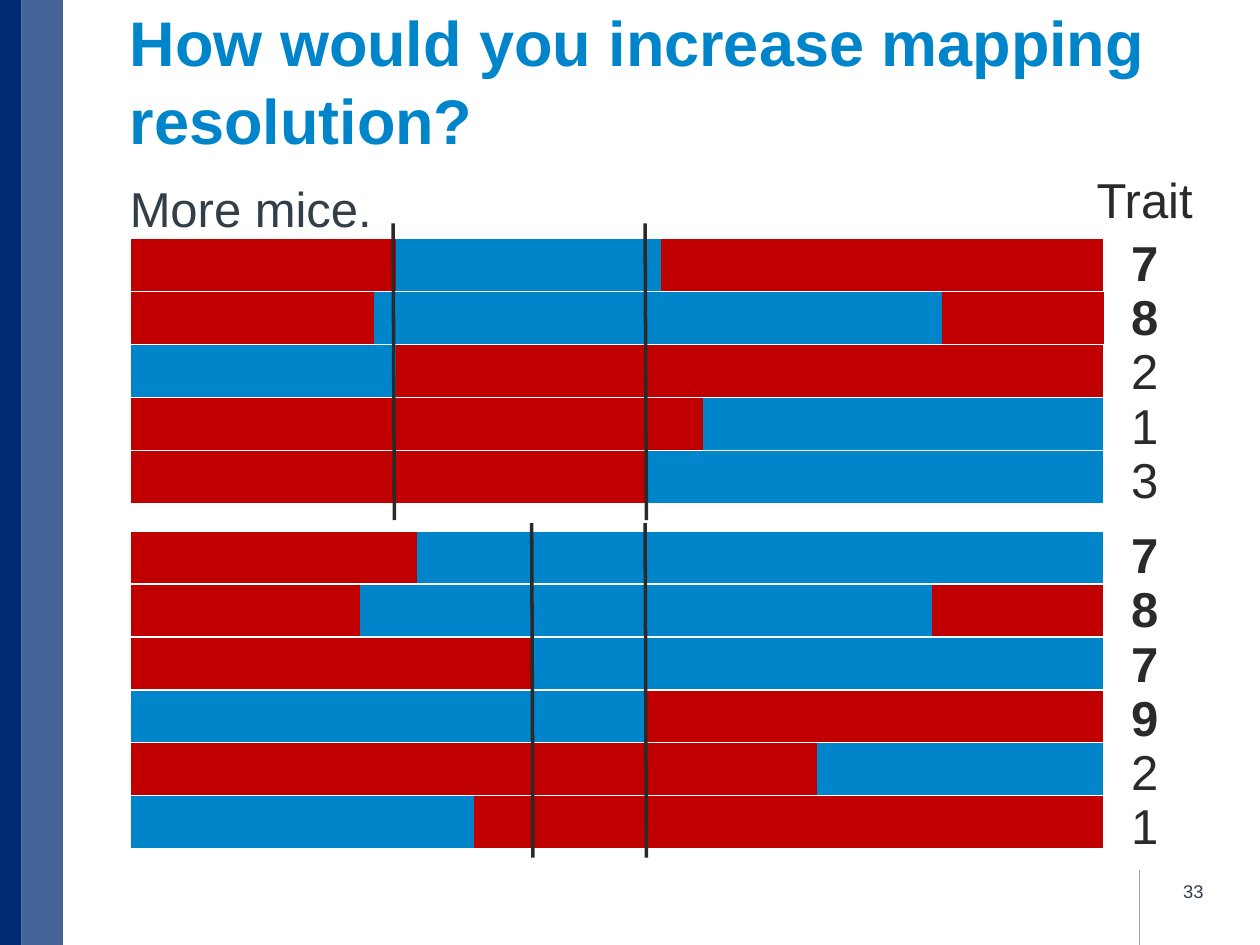
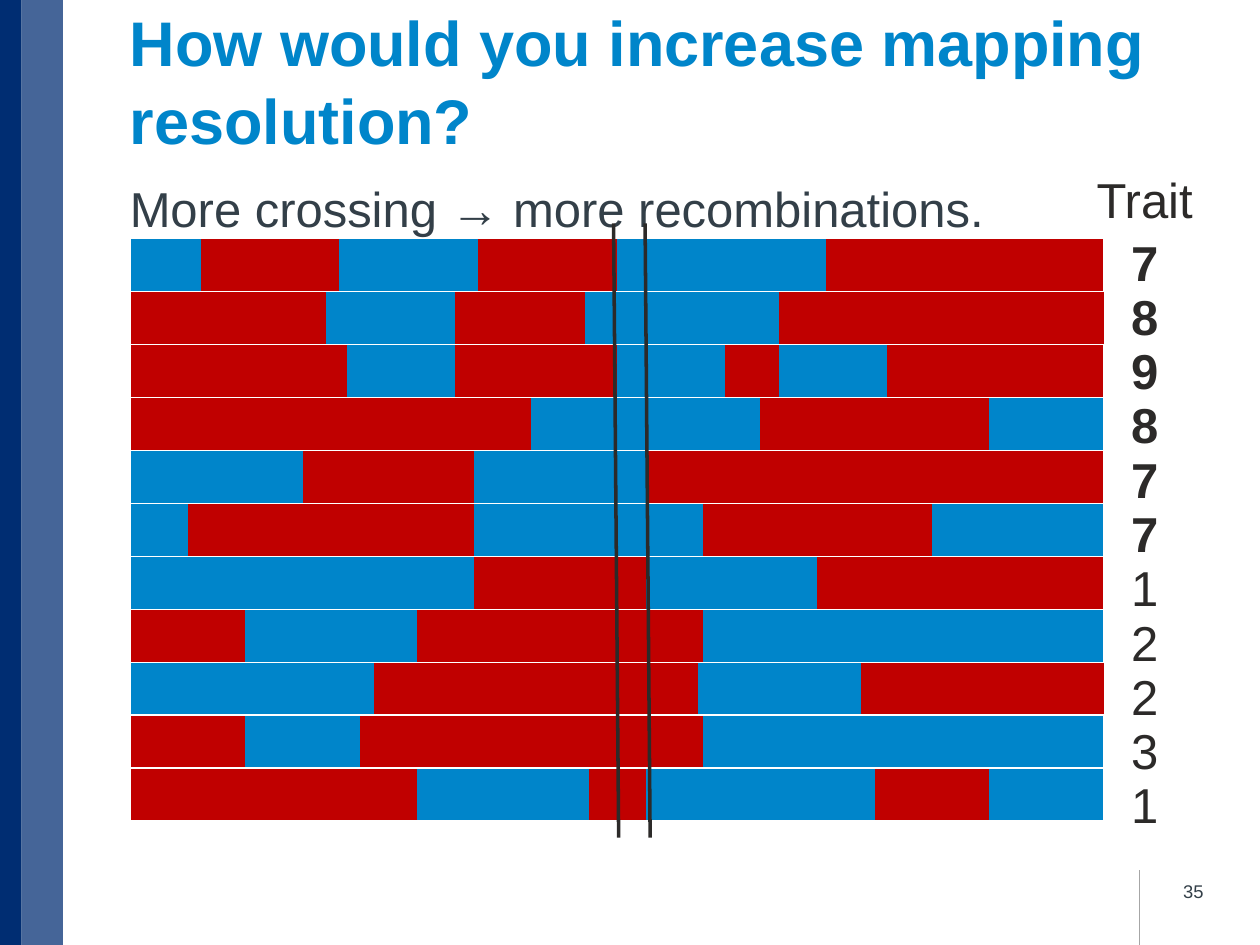
import dataclasses

import lxml.etree
import pptx
import pptx.dml.color
import pptx.enum.shapes
import pptx.enum.text
import pptx.oxml.ns
import pptx.util

RGBColor = pptx.dml.color.RGBColor
Align = pptx.enum.text.PP_ALIGN
Anchor = pptx.enum.text.MSO_ANCHOR
Inches = pptx.util.Inches
Pt = pptx.util.Pt

NAVY = RGBColor(0x00, 0x2D, 0x72)
BLUE = RGBColor(0x00, 0x85, 0xCA)
RED = RGBColor(0xC0, 0x00, 0x00)
SLATE = RGBColor(0x33, 0x3F, 0x48)
INK = RGBColor(0x2C, 0x2A, 0x29)
RULE_GREY = RGBColor(0xA6, 0xA6, 0xA6)
ALLELES = {"R": RED, "B": BLUE}

FONT = "Arial"
TITLE = "How would you increase mapping resolution?"
HIGH_TRAIT = 7
NO_TABLE_STYLE = "{2D5ABB26-0587-4C30-8999-92F81FD0307C}"

# The slide is a grid of 100 columns by 100 rows.
SLIDE_WIDTH, SLIDE_HEIGHT = Inches(10), Inches(7.5)
COLUMN, ROW = SLIDE_WIDTH / 100, SLIDE_HEIGHT / 100
MOUSE_PITCH, MOUSE_HEIGHT = 5.6, 5.47


@dataclasses.dataclass
class Box:
    """A rectangle in grid columns and rows."""
    left: float
    top: float
    width: float
    height: float

    def lengths(self):
        return (round(self.left * COLUMN), round(self.top * ROW),
                round(self.width * COLUMN), round(self.height * ROW))


@dataclasses.dataclass
class Panel:
    """Mice as (trait, segments) pairs, with interval lines as (top, bottom) columns."""
    top: float
    overhang: float
    mice: list
    intervals: list


MORE_MICE = [
    Panel(25.33, 1.7, [
        (7, "R3 B3 R5"),
        (8, "R3 B7 R2"),
        (2, "B3 R8"),
        (1, "R10 B7"),
        (3, "R9 B8"),
    ], [(20.8, 20.9), (31.8 + 9, 31.9 + 9)]),
    Panel(56.27, 0.9, [
        (7, "R5 B12"),
        (8, "R4 B10 R3"),
        (7, "R7 B10"),
        (9, "B9 R8"),
        (2, "R12 B5"),
        (1, "B6 R11"),
    ], [(31.8, 31.9), (40.8, 40.9)]),
]
MORE_CROSSING = [
    Panel(25.33, 1.7, [
        (7, "B1 R2 B2 R2 B3 R4"),
        (8, "R3 B2 R2 B3 R5"),
        (9, "R4 B2 R3 B2 R1 B2 R4"),
        (8, "R7 B4 R4 B2"),
        (7, "B3 R3 B3 R8"),
        (7, "B1 R5 B4 R4 B3"),
        (1, "B6 R3 B3 R5"),
        (2, "R2 B3 R5 B7"),
        (2, "B3 R4 B2 R3"),
        (3, "R2 B2 R6 B7"),
        (1, "R5 B3 R1 B4 R2 B2"),
    ], [(40.8, 41.2), (38.3, 38.7)]),
]


def write(para, text, size, color, bold=False):
    span = para.add_run()
    span.text = text
    span.font.name = FONT
    span.font.size = Pt(size)
    span.font.bold = bold
    span.font.color.rgb = color


def add_text_box(page, box, anchor=Anchor.TOP):
    frame = page.shapes.add_textbox(*box.lengths()).text_frame
    frame.word_wrap = True
    frame.vertical_anchor = anchor
    return frame


def add_line(page, start, end, color, width):
    line = page.shapes.add_connector(
        pptx.enum.shapes.MSO_CONNECTOR.STRAIGHT,
        round(start[0] * COLUMN), round(start[1] * ROW),
        round(end[0] * COLUMN), round(end[1] * ROW))
    line.line.color.rgb = color
    line.line.width = Pt(width)
    properties = line.element.find(pptx.oxml.ns.qn("p:spPr"))
    lxml.etree.SubElement(properties, pptx.oxml.ns.qn("a:effectLst"))


def add_band(page, box, opacity=100):
    band = page.shapes.add_shape(
        pptx.enum.shapes.MSO_SHAPE.RECTANGLE, *box.lengths())
    band.shadow.inherit = False
    band.line.fill.background()
    band.fill.solid()
    band.fill.fore_color.rgb = NAVY
    if opacity < 100:
        color = band.element.xpath("./p:spPr/a:solidFill/a:srgbClr")[0]
        alpha = lxml.etree.SubElement(color, pptx.oxml.ns.qn("a:alpha"))
        alpha.set("val", str(opacity * 1000))


def fill_placeholder(holder, box, anchor):
    """Move a placeholder, clear its inherited layout and return its paragraph."""
    holder.left, holder.top, holder.width, holder.height = box.lengths()
    frame = holder.text_frame
    frame.auto_size = pptx.enum.text.MSO_AUTO_SIZE.NONE
    frame.word_wrap = True
    frame.vertical_anchor = anchor
    frame.margin_left = 0
    frame.margin_right = Inches(0.1)
    frame.margin_top = frame.margin_bottom = Inches(0.05)
    para = frame.paragraphs[0]
    para.alignment = Align.LEFT
    para.space_before = Pt(0)
    return para


def add_heading(page, box, subtitle):
    title_box = Box(box.left, box.top, box.width, 8.4)
    para = fill_placeholder(page.shapes.title, title_box, Anchor.BOTTOM)
    para.line_spacing = 1.04
    write(para, TITLE, 36, BLUE, bold=True)

    body_box = Box(box.left, box.top + 9.2, box.width, 7.33)
    para = fill_placeholder(page.placeholders[1], body_box, Anchor.TOP)
    properties = para._p.get_or_add_pPr()
    properties.set("marL", "0")
    properties.set("indent", "0")
    lxml.etree.SubElement(properties, pptx.oxml.ns.qn("a:buNone"))
    para.line_spacing = 1.02
    para.space_after = Pt(14)
    write(para, subtitle, 28, SLATE)


def add_footer(page, box, number):
    add_line(page, (box.left + 17.2, 92.1), (box.left + 17.2, 100),
             RULE_GREY, 0.25)
    para = add_text_box(page, box, Anchor.MIDDLE).paragraphs[0]
    para.alignment = Align.RIGHT
    write(para, number, 10.5, SLATE)


def add_chromosome(page, box, segments):
    """Draw one mouse as a one-row table; "R3 B8" means 3 red cells, then 8 blue."""
    colors = [ALLELES[part[0]] for part in segments.split()
              for _ in range(int(part[1:]))]
    holder = page.shapes.add_table(1, len(colors), *box.lengths())
    holder.element.xpath(".//a:tableStyleId")[0].text = NO_TABLE_STYLE
    table = holder.table
    table.first_row = table.horz_banding = False
    for column, cell, color in zip(table.columns, table.rows[0].cells, colors):
        column.width = round(box.width * COLUMN / len(colors))
        cell.margin_top = cell.margin_bottom = 0
        cell.fill.solid()
        cell.fill.fore_color.rgb = color


def add_traits(page, box, traits):
    frame = add_text_box(page, box)
    for index, trait in enumerate(traits):
        para = frame.add_paragraph() if index else frame.paragraphs[0]
        para.line_spacing = Pt(31)
        write(para, str(trait), 28, INK, bold=trait >= HIGH_TRAIT)


def add_panel(page, box, panel):
    for index, (_, segments) in enumerate(panel.mice):
        mouse_top = box.top + index * MOUSE_PITCH
        add_chromosome(
            page, Box(box.left, mouse_top, box.width, MOUSE_HEIGHT), segments)
    add_traits(page, Box(box.left + 78.4, box.top - 0.93, 6.6, box.height + 2),
               [trait for trait, _ in panel.mice])
    for top_column, bottom_column in panel.intervals:
        add_line(page,
                 (box.left + top_column, box.top - panel.overhang),
                 (box.left + bottom_column,
                  box.top + box.height + panel.overhang),
                 INK, 2)


def add_mapping_slide(deck, subtitle, panels, number):
    page = deck.slides.add_slide(deck.slide_layouts[1])
    add_band(page, Box(0, 0, 1.7, 100))
    add_band(page, Box(1.7, 0, 3.3, 100), opacity=73)
    add_heading(page, Box(10.3, 8.93, 86.2, 16.53), subtitle)
    add_footer(page, Box(73.2, 91.6, 23.3, 5.33), number)

    para = add_text_box(page, Box(86, 17.33, 9.7, 7.6)).paragraphs[0]
    para.alignment = Align.CENTER
    write(para, "Trait", 28, INK)

    for panel in panels:
        height = len(panel.mice) * MOUSE_PITCH
        add_panel(page, Box(10.4, panel.top, 77.2, height), panel)


def main():
    deck = pptx.Presentation()
    deck.slide_width, deck.slide_height = SLIDE_WIDTH, SLIDE_HEIGHT
    add_mapping_slide(deck, "More mice.", MORE_MICE, "33")
    add_mapping_slide(deck, "More crossing → more recombinations.",
                      MORE_CROSSING, "35")
    deck.save("out.pptx")


if __name__ == "__main__":
    main()
